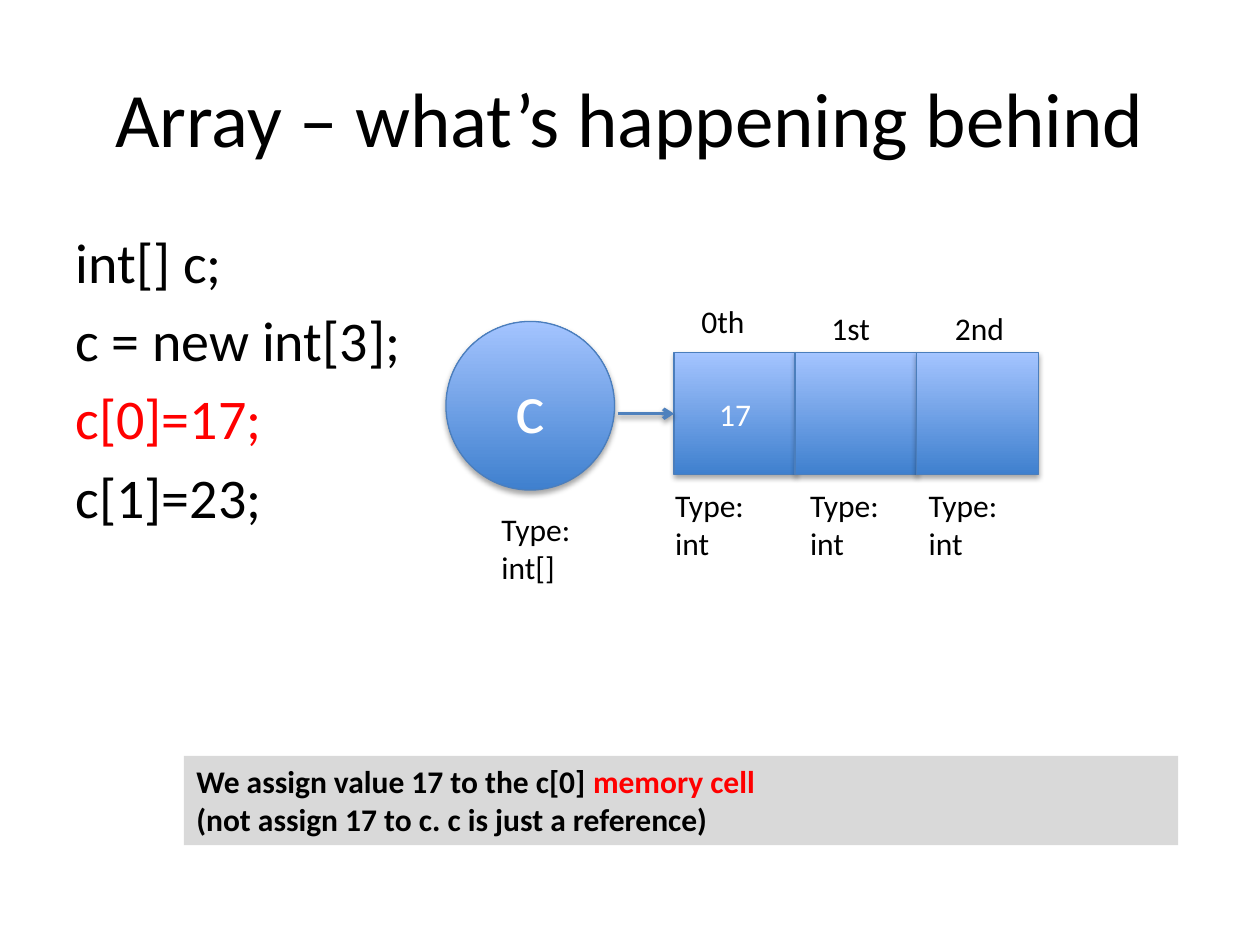
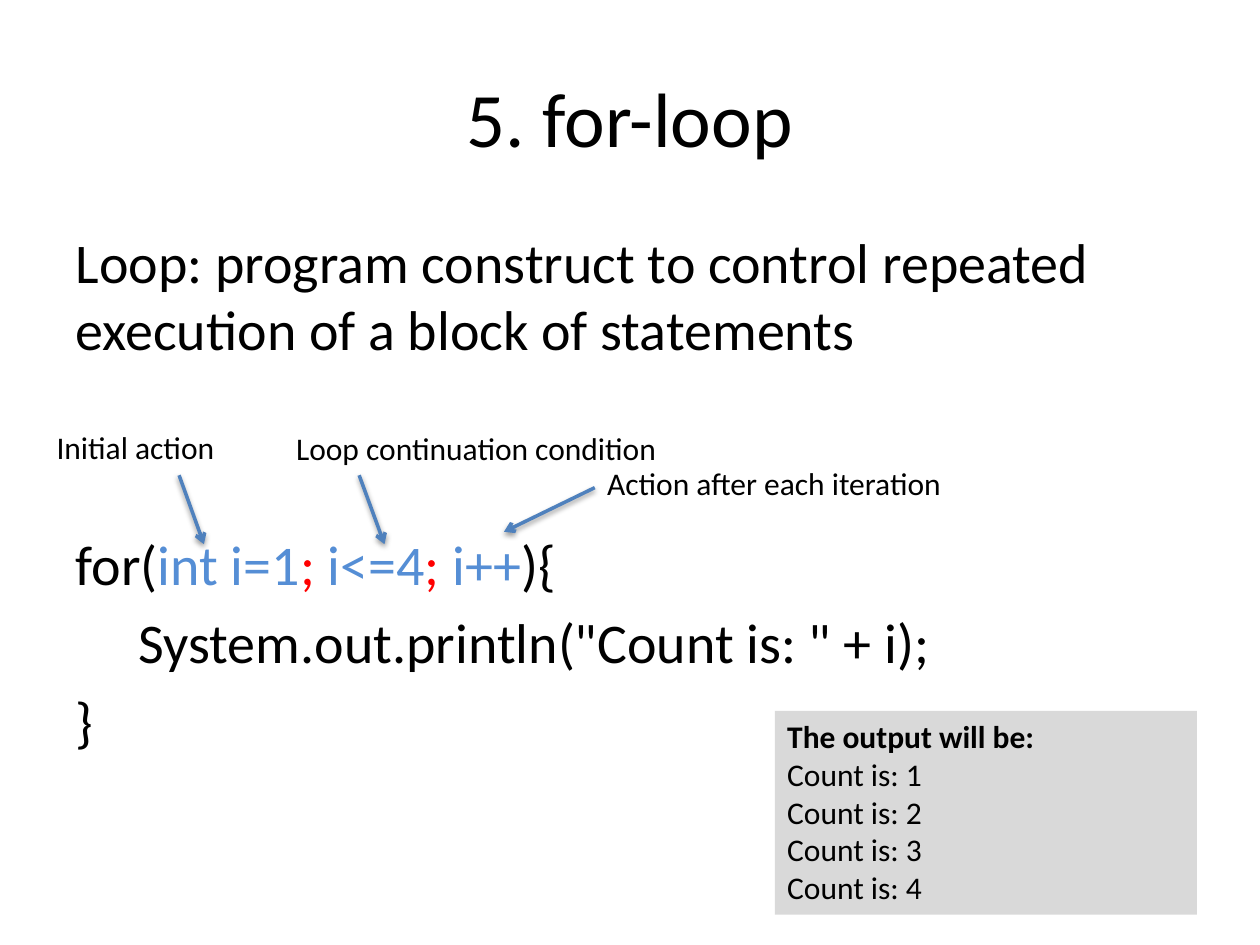
from lxml import etree
from pptx import Presentation
from pptx.dml.color import RGBColor
from pptx.enum.shapes import MSO_CONNECTOR, MSO_SHAPE
from pptx.enum.text import MSO_ANCHOR, PP_ALIGN
from pptx.oxml.ns import qn
from pptx.util import Cm, Pt

BLACK, WHITE, RED = "000000", "FFFFFF", "FF0000"
CODE_BLUE, ARROW_BLUE, EDGE_BLUE = "558ED5", "4F81BD", "4B7EBC"
GRADIENT = ("3F80CE", "A4C4FF")
NOTE_GREY = "D9D9D9"
FONT = "Calibri"
TITLE_BOX = (1.27, 0.76, 22.86, 3.18)


def rgb(value):
    return RGBColor.from_string(value)


def sub(parent, tag, **attrs):
    """Append a DrawingML child element."""
    return etree.SubElement(parent, qn("a:" + tag), {k: str(v) for k, v in attrs.items()})


class Deck:
    def __init__(self):
        self.prs = Presentation()
        self.prs.slide_width, self.prs.slide_height = Cm(25.4), Cm(19.05)
        self.s = None

    def slide(self, title, body, body_width):
        """Start a slide and return the paragraphs of its body."""
        self.s = self.prs.slides.add_slide(self.prs.slide_layouts[1])
        holder, content = self.s.placeholders
        self.place(holder, TITLE_BOX)
        self.set_text(holder.text_frame, [title], size=44, align=PP_ALIGN.CENTER)
        self.place(content, (1.27, 4.45, body_width, 12.57))
        self.set_text(content.text_frame, body, size=32)
        for p in content.text_frame.paragraphs:
            pPr = p._p.get_or_add_pPr()
            pPr.set("marL", "0")
            pPr.set("indent", "0")
            sub(pPr, "buNone")
        return content.text_frame.paragraphs

    def place(self, sp, box):
        for name, value in zip(("left", "top", "width", "height"), box):
            setattr(sp, name, Cm(value))

    def set_text(self, tf, lines, size=18, color=BLACK, bold=False, align=PP_ALIGN.LEFT):
        """A line is a string or a list of (text, format changes) runs."""
        for i, line in enumerate(lines):
            p = tf.paragraphs[0] if i == 0 else tf.add_paragraph()
            p.alignment = align
            for text, changes in [(line, {})] if isinstance(line, str) else line:
                r = p.add_run()
                r.text = text
                fmt = {"name": FONT, "size": Pt(size), "bold": bold, "color": color, **changes}
                r.font.color.rgb = rgb(fmt.pop("color"))
                for name, value in fmt.items():
                    setattr(r.font, name, value)

    def shadow(self, sp, opacity, distance):
        effects = sub(sp._element.spPr, "effectLst")
        outer = sub(effects, "outerShdw", blurRad=Pt(3.1), dist=Pt(distance),
                    dir=90 * 60000, rotWithShape=0)
        sub(sub(outer, "srgbClr", val=BLACK), "alpha", val=opacity * 1000)

    def label(self, text, box, wrap=True):
        tf = self.s.shapes.add_textbox(*map(Cm, box)).text_frame
        tf.word_wrap = wrap
        self.set_text(tf, [text])

    def note(self, lines, box):
        sp = self.s.shapes.add_shape(MSO_SHAPE.RECTANGLE, *map(Cm, box))
        sp.shadow.inherit = False
        sp.fill.solid()
        sp.fill.fore_color.rgb = rgb(NOTE_GREY)
        sp.line.fill.background()
        sp.text_frame.word_wrap = True
        sp.text_frame.vertical_anchor = MSO_ANCHOR.TOP
        self.set_text(sp.text_frame, lines)

    def memory(self, kind, box, text="", size=18):
        """A glossy blue shape that stands for a variable or a memory cell."""
        sp = self.s.shapes.add_shape(kind, *map(Cm, box))
        sp.fill.gradient()
        sp.fill.gradient_angle = 90
        for stop, color in zip(sp.fill.gradient_stops, GRADIENT):
            stop.color.rgb = rgb(color)
        sp.line.color.rgb = rgb(EDGE_BLUE)
        sp.line.width = Pt(0.75)
        self.shadow(sp, 35, 1.8)
        sp.text_frame.vertical_anchor = MSO_ANCHOR.MIDDLE
        if text:
            self.set_text(sp.text_frame, [text], size, WHITE, align=PP_ALIGN.CENTER)
        return sp

    def arrow(self, x1, y1, x2, y2):
        c = self.s.shapes.add_connector(MSO_CONNECTOR.STRAIGHT, *map(Cm, (x1, y1, x2, y2)))
        c.line.color.rgb = rgb(ARROW_BLUE)
        c.line.width = Pt(2)
        sub(c.line._get_or_add_ln(), "tailEnd", type="arrow")
        self.shadow(c, 38, 1.6)
        return c


def array_slide(deck):
    deck.slide("Array – what’s happening behind",
               ["int[] c;", "c = new int[3];", [("c[0]=17;", {"color": RED})], "c[1]=23;"], 7.72)
    bold = {"bold": True}
    deck.note([[("We assign value 17 to the c[0] ", bold),
                ("memory cell", {"bold": True, "color": RED})],
               [("(not assign 17 to c. c is just a reference)", bold)]],
              (3.71, 15.24, 20.04, 1.8))

    left, top, side, pitch = 13.59, 7.11, 2.46, 2.44
    cells = [deck.memory(MSO_SHAPE.RECTANGLE, (left + i * pitch, top, side, side), value)
             for i, value in enumerate(("17", "", ""))]
    deck.memory(MSO_SHAPE.OVAL, (8.99, 6.48, 3.4, 3.4), "c", 40)
    middle = top + side / 2
    deck.arrow(12.45, middle, left, middle).end_connect(cells[0], 1)

    for text, x, y in (("0th", 13.89, 5.97), ("1st", 16.51, 6.1), ("2nd", 19, 6.1)):
        deck.label(text, (x, y, 1.63, 1.02))
    deck.label("Type: int[]", (9.86, 10.16, 2.54, 1.8))
    for x in (13.36, 16.08, 18.47):
        deck.label("Type: int", (x, 9.68, 2.54, 1.8))


def loop_slide(deck):
    blue, red = {"color": CODE_BLUE}, {"color": RED}
    header = [("for(", {}), ("int i=1", blue), ("; ", red), ("i<=4", blue),
              ("; ", red), ("i++", blue), ("){", {})]
    _, loop_head, loop_body, _ = deck.slide("5. for-loop", [
        "Loop: program construct to control repeated execution of a block of statements",
        header, 'System.out.println("Count is: " + i);', "}"], 22.86)
    loop_head.space_before = Pt(96)
    loop_body._p.pPr.set("marL", str(Cm(1.27)))

    deck.note([[("The output will be:", {"bold": True})],
               *(f"Count is: {i}" for i in range(1, 5))], (15.62, 14.33, 8.51, 4.11))
    for text, x, y, width in (("Initial action", 0.89, 8.51, 3.89),
                              ("Loop continuation condition", 5.72, 8.53, 7.87),
                              ("Action after each iteration", 11.99, 9.22, 7.34)):
        deck.label(text, (x, y, width, 1.02), wrap=False)
    for ends in ((3.61, 9.58, 4.11, 10.97), (7.24, 9.58, 7.75, 10.97),
                 (11.99, 9.83, 10.16, 10.72)):
        deck.arrow(*ends)


def main():
    deck = Deck()
    array_slide(deck)
    loop_slide(deck)
    deck.prs.save("out.pptx")


if __name__ == "__main__":
    main()
